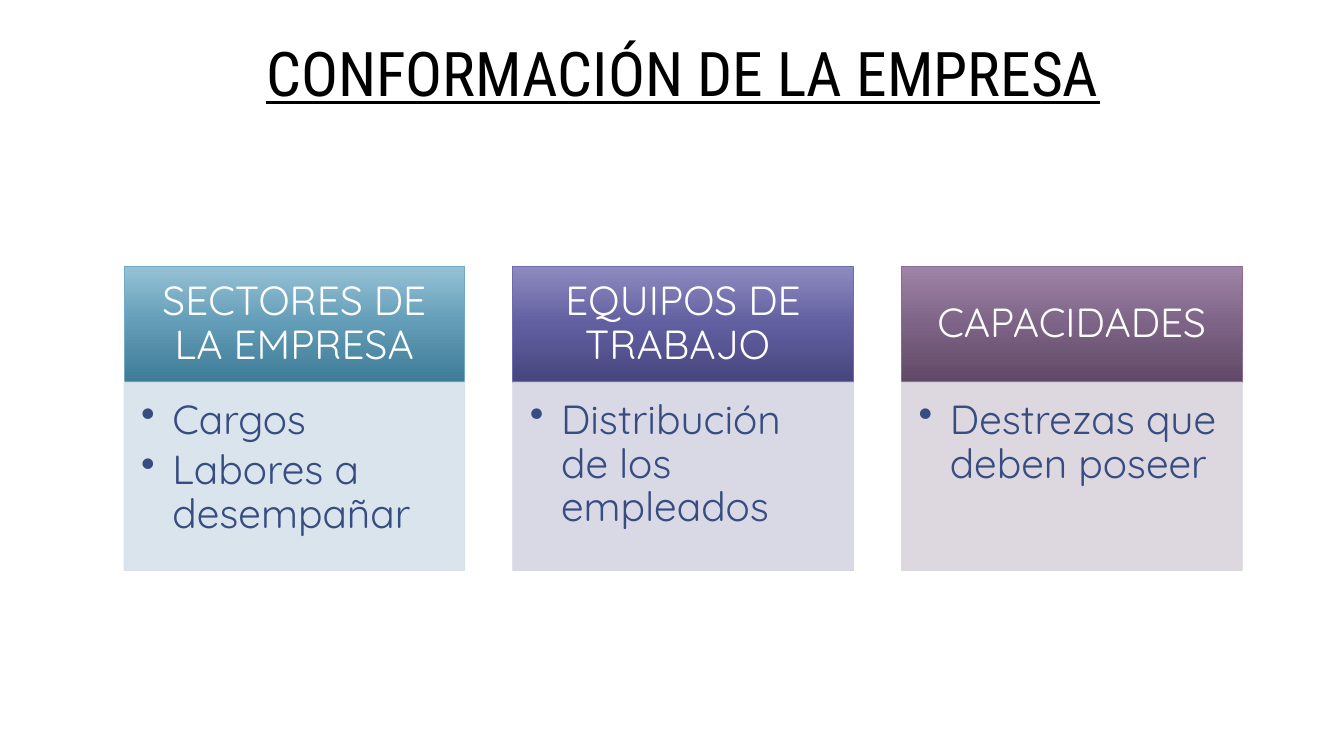
from copy import deepcopy
from dataclasses import dataclass

from lxml.etree import SubElement as Sub
from pptx import Presentation
from pptx.dml.color import RGBColor as Rgb
from pptx.enum.shapes import MSO_SHAPE as Kind
from pptx.enum.text import MSO_ANCHOR as Anchor, PP_ALIGN as Align
from pptx.oxml.ns import qn
from pptx.util import Inches, Pt

WIDE, HIGH = Inches(13.33), Inches(7.5)

# Shares of the slide, in percent
LEFT, STEP, SPAN = 9.23, 28.92, 25.36
TOP, HEAD, BODY = 35.2, 15.33, 24.93

HUES = {
    "ink": "000000", "head": "FFFFFF", "body": "374C81",
    "teal1": "96C2D5", "teal2": "629CB7", "teal3": "3E7B96",
    "teal_edge": "70AAC4", "teal_pale": "D5E2EA",
    "blue1": "8E8BC0", "blue2": "625FA1", "blue3": "47457D",
    "blue_edge": "6E6BAE", "blue_pale": "D5D4E3",
    "plum1": "A084A8", "plum2": "7D6385", "plum3": "604966",
    "plum_edge": "8B6A94", "plum_pale": "DAD4DC",
}


@dataclass
class Style:
    hue: str
    font: dict
    para: dict
    frame: dict
    bullet: bool = False


@dataclass
class Card:
    hue: str
    title: str
    items: list[str]


def pads(left: float, top: float, right: float, base: float) -> dict:
    sides = zip(("left", "top", "right", "bottom"), (left, top, right, base))
    return {f"margin_{side}": Inches(size) for side, size in sides}


CARD_FONT = {"name": "Quicksand", "size": Pt(29)}
STYLES = {
    "title": Style(
        "ink",
        {"name": "Roboto Condensed", "size": Pt(44), "underline": True},
        {"alignment": Align.CENTER, "line_spacing": 0.85},
        {"vertical_anchor": Anchor.BOTTOM, **pads(0.13, 0.07, 0.13, 0.07)}),
    "head": Style(
        "head", CARD_FONT,
        {"alignment": Align.CENTER, "line_spacing": 0.9, "space_after": Pt(10.15)},
        {"vertical_anchor": Anchor.MIDDLE, **pads(0.23, 0.13, 0.23, 0.13)}),
    "body": Style(
        "body", CARD_FONT,
        {"alignment": Align.LEFT, "level": 1, "line_spacing": 0.9,
         "space_after": Pt(4.35)},
        {"vertical_anchor": Anchor.TOP, **pads(0.17, 0.17, 0.23, 0.25)}, True),
}

CARDS = [
    Card("teal", "SECTORES DE LA EMPRESA", ["Cargos", "Labores a desempañar"]),
    Card("blue", "EQUIPOS DE TRABAJO ", ["Distribución de los empleados"]),
    Card("plum", "CAPACIDADES", ["Destrezas que deben poseer"]),
]


def tint(name: str) -> Rgb:
    return Rgb.from_string(HUES[name])


def place(x: float, y: float, w: float, h: float) -> list[int]:
    return [round(share * side / 100)
            for share, side in zip((x, y, w, h), (WIDE, HIGH) * 2)]


def apply(target, values: dict) -> None:
    for name, value in values.items():
        setattr(target, name, value)


def dot(para) -> None:
    props = para._p.get_or_add_pPr()
    props.set("marL", str(Inches(0.31)))
    props.set("indent", str(-Inches(0.31)))
    Sub(props, qn("a:buChar"), char="•")


def write(shape, lines: list[str], style: Style) -> None:
    frame = shape.text_frame
    apply(frame, {"word_wrap": True, **style.frame})
    for i, line in enumerate(lines):
        para = frame.add_paragraph() if i else frame.paragraphs[0]
        if style.bullet:
            dot(para)
        apply(para, style.para)
        run = para.add_run()
        run.text = line
        apply(run.font, style.font)
        run.font.color.rgb = tint(style.hue)


def add_box(slide, area: list[int], edge: str):
    box = slide.shapes.add_shape(Kind.RECTANGLE, *area)
    box.shadow.inherit = False
    box.line.color.rgb = tint(edge)
    box.line.width = Pt(0.5)
    return box


def shade(box, hue: str) -> None:
    box.fill.gradient()
    box.fill.gradient_angle = 270
    stops = box.element.find(".//" + qn("a:gsLst"))
    stops.append(deepcopy(stops[0]))
    for i, stop in enumerate(box.fill.gradient_stops):
        stop.position = i / 2
        stop.color.rgb = tint(f"{hue}{i + 1}")


def fade(box, hue: str) -> None:
    box.fill.solid()
    box.fill.fore_color.rgb = tint(hue)
    for color in list(box.element.spPr.iter(qn("a:srgbClr"))):
        Sub(color, qn("a:alpha"), val="90000")


def add_card(slide, card: Card, x: float) -> None:
    # Header band
    head = add_box(slide, place(x, TOP, SPAN, HEAD), f"{card.hue}_edge")
    shade(head, card.hue)
    write(head, [card.title], STYLES["head"])
    # Bullet panel
    pale = f"{card.hue}_pale"
    body = add_box(slide, place(x, TOP + HEAD, SPAN, BODY), pale)
    fade(body, pale)
    write(body, card.items, STYLES["body"])


def main() -> None:
    deck = Presentation()
    apply(deck, {"slide_width": WIDE, "slide_height": HIGH})
    slide = deck.slides.add_slide(deck.slide_layouts[6])

    # Title
    title = slide.shapes.add_textbox(*place(9.15, 1.07, 83.35, 14.27))
    write(title, ["CONFORMACIÓN DE LA EMPRESA"], STYLES["title"])

    # Cards
    for i, card in enumerate(CARDS):
        add_card(slide, card, LEFT + i * STEP)

    deck.save("out.pptx")


if __name__ == "__main__":
    main()
